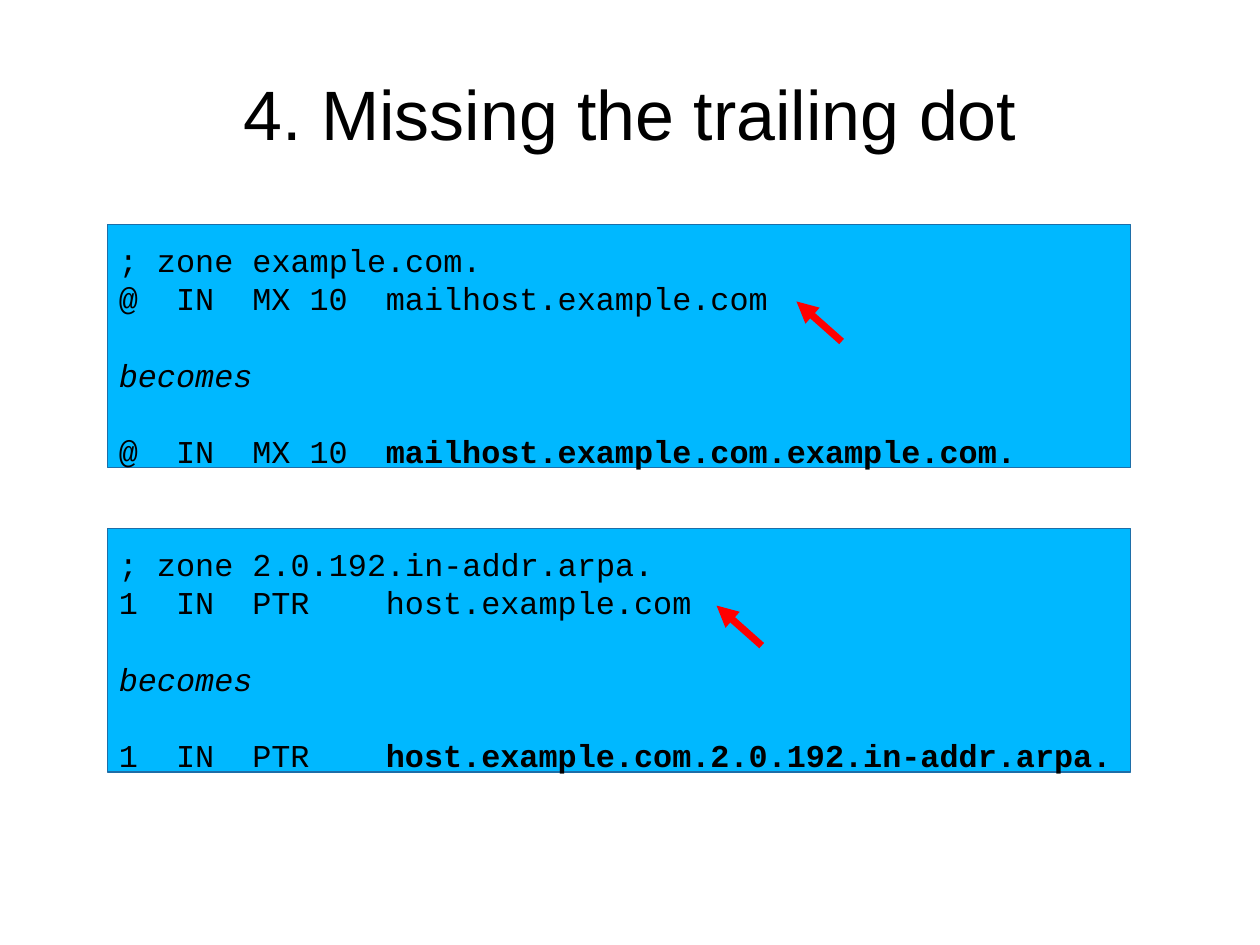
from dataclasses import dataclass

from lxml.etree import SubElement
from pptx import Presentation
from pptx.dml.color import RGBColor
from pptx.enum.shapes import MSO_CONNECTOR, MSO_SHAPE
from pptx.enum.text import MSO_ANCHOR, MSO_AUTO_SIZE, PP_ALIGN
from pptx.oxml.ns import qn
from pptx.slide import Slide
from pptx.util import Pt


@dataclass(frozen=True)
class Theme:
    text: RGBColor = RGBColor(0, 0, 0)
    box_fill: RGBColor = RGBColor(0x00, 0xB8, 0xFF)
    box_line: RGBColor = RGBColor(0x1E, 0x6E, 0xA8)
    arrow: RGBColor = RGBColor(0xFF, 0, 0)
    title_font: str = "Arial"
    code_font: str = "Courier New"
    title_size: float = 44
    code_size: float = 20
    code_pitch: float = 24


@dataclass(frozen=True)
class ZoneExample:
    top: float
    zone: str
    record: str
    wrong_name: str
    expanded_name: str
    arrow_left: float


THEME = Theme()
BOX_LEFT, BOX_WIDTH, BOX_HEIGHT = 67.7, 643.7, 153.4
CHARACTER_WIDTH = 0.6 * THEME.code_size
RECORD_COLUMNS = (3, 7, 14)  # in characters
ARROW_DROP, ARROW_WIDTH, ARROW_HEIGHT = 48.6, 28.4, 25.2

EXAMPLES = (
    ZoneExample(141.1, "example.com.", "@\tIN\tMX 10\t",
                "mailhost.example.com",
                "mailhost.example.com.example.com.", 501.1),
    ZoneExample(332.5, "2.0.192.in-addr.arpa.", "1\tIN\tPTR\t",
                "host.example.com",
                "host.example.com.2.0.192.in-addr.arpa.", 450.8),
)


def add_title(page: Slide, text: str) -> None:
    title = page.shapes.title
    title.left, title.top = Pt(39.6), Pt(23.8)
    title.width, title.height = Pt(714.2), Pt(99.4)
    frame = title.text_frame
    frame.text = text
    frame.vertical_anchor = MSO_ANCHOR.MIDDLE
    frame.margin_left = frame.margin_right = 0
    frame.margin_top = frame.margin_bottom = 0
    para = frame.paragraphs[0]
    para.alignment = PP_ALIGN.CENTER
    para.line_spacing = 0.93
    font = para.runs[0].font
    font.name, font.size = THEME.title_font, Pt(THEME.title_size)
    font.color.rgb = THEME.text


def add_code_box(page: Slide, example: ZoneExample) -> None:
    box = page.shapes.add_shape(MSO_SHAPE.RECTANGLE, Pt(BOX_LEFT),
                                Pt(example.top), Pt(BOX_WIDTH), Pt(BOX_HEIGHT))
    box.shadow.inherit = False
    box.fill.solid()
    box.fill.fore_color.rgb = THEME.box_fill
    box.line.color.rgb = THEME.box_line
    box.line.width = Pt(0.75)

    frame = box.text_frame
    frame.word_wrap = True
    frame.auto_size = MSO_AUTO_SIZE.NONE
    frame.vertical_anchor = MSO_ANCHOR.TOP
    frame.margin_left = frame.margin_right = Pt(7.2)
    frame.margin_top, frame.margin_bottom = Pt(10.5), 0
    frame.text = "\n".join((f"; zone {example.zone}",
                            example.record + example.wrong_name,
                            "becomes", example.record))
    heading, record, becomes, result = frame.paragraphs
    result.add_run().text = example.expanded_name

    for para in frame.paragraphs:
        para.alignment = PP_ALIGN.LEFT
        para.line_spacing = Pt(THEME.code_pitch)
        for span in para.runs:
            font = span.font
            font.name, font.size = THEME.code_font, Pt(THEME.code_size)
            font.color.rgb = THEME.text

    # One empty line's height above the last two lines
    for para in (becomes, result):
        para.space_before = Pt(THEME.code_pitch)
    becomes.runs[0].font.italic = True
    result.runs[-1].font.bold = True

    # Tab stops align the record columns
    for para in (record, result):
        stops = SubElement(para._p.get_or_add_pPr(), qn("a:tabLst"))
        for column in RECORD_COLUMNS:
            SubElement(stops, qn("a:tab"), algn="l",
                       pos=str(Pt(column * CHARACTER_WIDTH)))


def add_arrow(page: Slide, example: ZoneExample) -> None:
    left, top = example.arrow_left, example.top + ARROW_DROP
    arrow = page.shapes.add_connector(
        MSO_CONNECTOR.STRAIGHT, Pt(left), Pt(top),
        Pt(left + ARROW_WIDTH), Pt(top + ARROW_HEIGHT))
    arrow.line.color.rgb = THEME.arrow
    arrow.line.width = Pt(4.5)
    SubElement(arrow.line._get_or_add_ln(), qn("a:headEnd"), type="triangle")
    SubElement(arrow._element.spPr, qn("a:effectLst"))


# Deck and page
deck = Presentation()
deck.slide_width, deck.slide_height = Pt(792.7), Pt(594.7)
page = deck.slides.add_slide(deck.slide_layouts.get_by_name("Title Only"))

# Title, code boxes, then arrows at the missing dots
add_title(page, "4. Missing the trailing dot")
for example in EXAMPLES:
    add_code_box(page, example)
for example in EXAMPLES:
    add_arrow(page, example)

deck.save("out.pptx")
